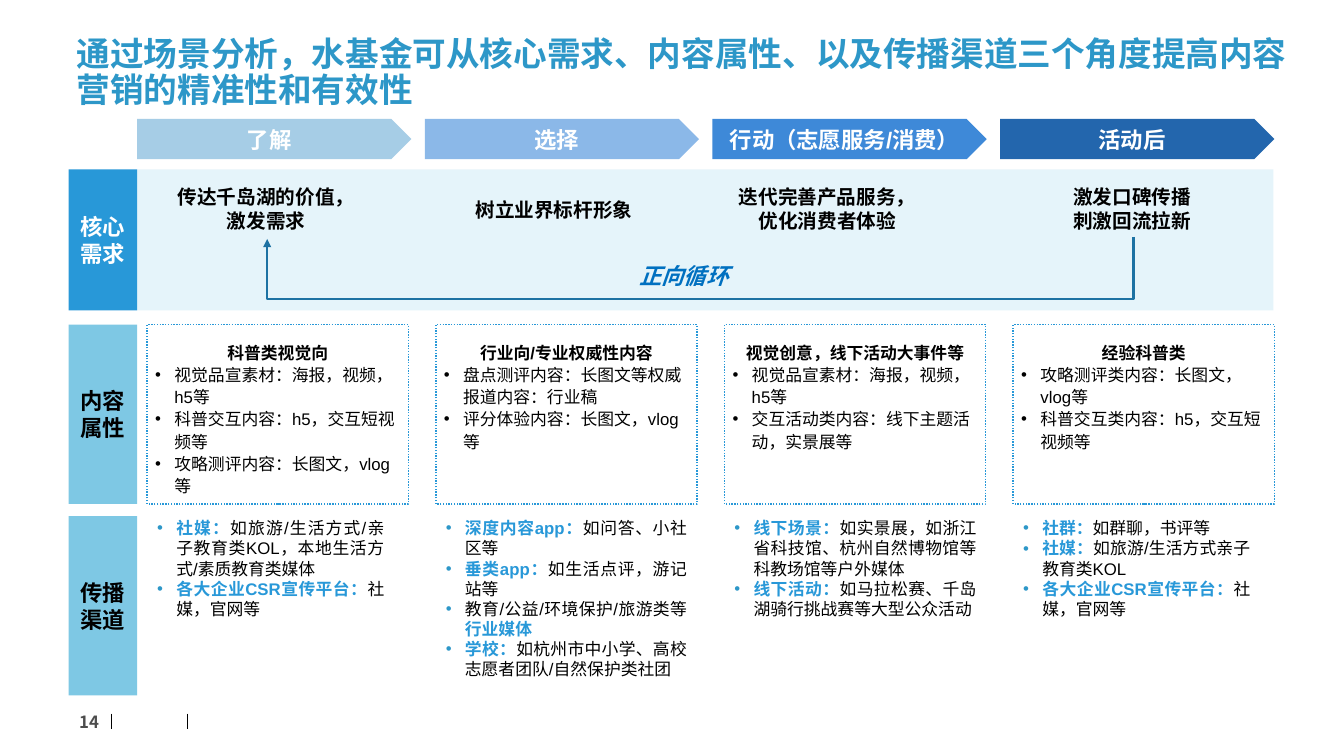
"""Build the slide on content marketing needs, content attributes and channels."""
from lxml import etree
from pptx import Presentation
from pptx.dml.color import RGBColor
from pptx.enum.dml import MSO_LINE
from pptx.enum.shapes import MSO_CONNECTOR, MSO_SHAPE
from pptx.enum.text import MSO_ANCHOR, MSO_AUTO_SIZE, PP_ALIGN
from pptx.oxml.ns import qn
from pptx.util import Inches, Pt

WHITE = RGBColor(0xFF, 0xFF, 0xFF)
BLACK = RGBColor(0x00, 0x00, 0x00)
GREY = RGBColor(0x4D, 0x4D, 0x4D)
TITLE_BLUE = RGBColor(0x2D, 0x97, 0xC8)
ACCENT = RGBColor(0x28, 0x98, 0xD8)
LABEL_BLUE = RGBColor(0x7E, 0xC8, 0xE4)
PALE_BLUE = RGBColor(0xE5, 0xF4, 0xFA)
ARROW_BLUE = RGBColor(0x1D, 0x72, 0xA3)
CYCLE_BLUE = RGBColor(0x00, 0x70, 0xC0)
STAGE_1 = RGBColor(0xA6, 0xCD, 0xE6)
STAGE_2 = RGBColor(0x8B, 0xB8, 0xE8)
STAGE_3 = RGBColor(0x3E, 0x89, 0xD8)
STAGE_4 = RGBColor(0x23, 0x66, 0xAD)
LEFT, CENTER, RIGHT, JUSTIFY = PP_ALIGN.LEFT, PP_ALIGN.CENTER, PP_ALIGN.RIGHT, PP_ALIGN.JUSTIFY
MIDDLE, TOP = MSO_ANCHOR.MIDDLE, MSO_ANCHOR.TOP
RECTANGLE, PENTAGON = MSO_SHAPE.RECTANGLE, MSO_SHAPE.PENTAGON
CJK_FONT = "Noto Sans CJK SC"


def add_block(geometry, left, top, width, height, fill=None):
    block = slide.shapes.add_shape(geometry, Inches(left), Inches(top), Inches(width), Inches(height))
    block.shadow.inherit = False
    block.line.fill.background()
    if fill is None:
        block.fill.background()
    else:
        block.fill.solid()
        block.fill.fore_color.rgb = fill
    block.text_frame.word_wrap = True
    block.text_frame.vertical_anchor = MIDDLE
    return block


def write(frame, runs, size, align, bullet=None, spacing=None, font="Arial"):
    paragraph = frame.add_paragraph() if frame.text else frame.paragraphs[0]
    paragraph.alignment = align
    if bullet is not None:
        properties = paragraph._p.get_or_add_pPr()
        properties.set("marL", str(Inches(0.19)))
        properties.set("indent", str(-Inches(0.19)))
        color = etree.SubElement(properties, qn("a:buClr"))
        etree.SubElement(color, qn("a:srgbClr")).set("val", str(bullet))
        etree.SubElement(properties, qn("a:buFont")).set("typeface", "Arial")
        etree.SubElement(properties, qn("a:buChar")).set("char", "•")
    if spacing:
        paragraph.line_spacing = spacing
    for text, text_color, bold in runs:
        run = paragraph.add_run()
        run.text = text
        run.font.name = font
        run.font.size = Pt(size)
        run.font.bold = bold
        run.font.color.rgb = text_color
        etree.SubElement(run._r.get_or_add_rPr(), qn("a:ea")).set("typeface", CJK_FONT)
    return paragraph


presentation = Presentation()
presentation.slide_width = Inches(13.33)
presentation.slide_height = Inches(7.5)
slide = presentation.slides.add_slide(presentation.slide_layouts[5])

title = slide.shapes.title
title.left, title.top, title.width, title.height = Inches(0.66), Inches(0.48), Inches(12.27), Inches(0.5)
title.text_frame.word_wrap = True
title.text_frame.auto_size = MSO_AUTO_SIZE.NONE
title.text_frame.vertical_anchor = MIDDLE
headline = "通过场景分析，水基金可从核心需求、内容属性、以及传播渠道三个角度提高内容营销的精准性和有效性"
write(title.text_frame, [(headline, TITLE_BLUE, True)], 24, LEFT, spacing=0.9, font=CJK_FONT)

add_block(RECTANGLE, 1.36, 1.68, 11.27, 1.4, PALE_BLUE)

row_labels = [
    (1.68, 1.4, ACCENT, WHITE, ["核心", "需求"]),
    (3.22, 1.78, LABEL_BLUE, BLACK, ["内容属性"]),
    (5.12, 1.78, LABEL_BLUE, BLACK, ["传播渠道"]),
]
for top, height, fill, color, lines in row_labels:
    label = add_block(RECTANGLE, 0.68, top, 0.68, height, fill)
    for line in lines:
        write(label.text_frame, [(line, color, True)], 16, CENTER)

stages = [("了解", STAGE_1), ("选择", STAGE_2), ("行动（志愿服务/消费）", STAGE_3), ("活动后", STAGE_4)]
for column, (name, fill) in enumerate(stages):
    stage = add_block(PENTAGON, 1.36 + 2.853 * column, 1.18, 2.72, 0.4, fill)
    write(stage.text_frame, [(name, WHITE, True)], 16, CENTER)

needs = [
    (1.3, 1.79, 2.68, ["传达千岛湖的价值，", "激发需求"]),
    (4.6, 1.91, 1.79, ["树立业界标杆形象"]),
    (7, 1.79, 2.41, ["迭代完善产品服务，", "优化消费者体验"]),
    (10.03, 1.79, 2.4, ["激发口碑传播", "刺激回流拉新"]),
]
for left, top, width, lines in needs:
    need = slide.shapes.add_textbox(Inches(left), Inches(top), Inches(width), Inches(0.1 + 0.235 * len(lines)))
    need.text_frame.word_wrap = True
    for line in lines:
        write(need.text_frame, [(line, BLACK, True)], 14, CENTER)

contents = [
    ("科普类视觉向", ["视觉品宣素材：海报，视频，h5等", "科普交互内容：h5，交互短视频等", "攻略测评内容：长图文，vlog等"]),
    ("行业向/专业权威性内容", ["盘点测评内容：长图文等权威报道内容：行业稿", "评分体验内容：长图文，vlog等"]),
    ("视觉创意，线下活动大事件等", ["视觉品宣素材：海报，视频，h5等", "交互活动类内容：线下主题活动，实景展等"]),
    ("经验科普类", ["攻略测评类内容：长图文，vlog等", "科普交互类内容：h5，交互短视频等"]),
]
channels = [
    (2.45, [
        [("社媒：", ACCENT, True), ("如旅游/生活方式/亲子教育类KOL，本地生活方式/素质教育类媒体", BLACK, False)],
        [("各大企业CSR宣传平台：", ACCENT, True), ("社媒，官网等", BLACK, False)],
    ]),
    (2.59, [
        [("深度内容app：", ACCENT, True), ("如问答、小社区等", BLACK, False)],
        [("垂类app：", ACCENT, True), ("如生活点评，游记站等", BLACK, False)],
        [("教育/公益/环境保护/旅游类等", BLACK, False), ("行业媒体", ACCENT, True)],
        [("学校：", ACCENT, True), ("如杭州市中小学、高校志愿者团队/自然保护类社团", BLACK, False)],
    ]),
    (2.6, [
        [("线下场景：", ACCENT, True), ("如实景展，如浙江省科技馆、杭州自然博物馆等科教场馆等户外媒体", BLACK, False)],
        [("线下活动：", ACCENT, True), ("如马拉松赛、千岛湖骑行挑战赛等大型公众活动", BLACK, False)],
    ]),
    (2.45, [
        [("社群：", ACCENT, True), ("如群聊，书评等", BLACK, False)],
        [("社媒：", ACCENT, True), ("如旅游/生活方式亲子教育类KOL", BLACK, False)],
        [("各大企业CSR宣传平台：", ACCENT, True), ("社媒，官网等", BLACK, False)],
    ]),
]
for column, ((heading, points), (width, items)) in enumerate(zip(contents, channels)):
    left = 1.46 + 2.863 * column
    content = add_block(RECTANGLE, left, 3.22, 2.59, 1.78)
    content.line.color.rgb = ACCENT
    content.line.width = Pt(1)
    content.line.dash_style = MSO_LINE.ROUND_DOT
    frame = content.text_frame
    frame.vertical_anchor = TOP
    frame.margin_left = frame.margin_right = Inches(0.08)
    frame.margin_top = Inches(0.16)
    write(frame, [(heading, BLACK, True)], 12, CENTER, spacing=1.1)
    for point in points:
        write(frame, [(point, BLACK, False)], 12, LEFT, bullet=BLACK, spacing=1.1)

    channel = slide.shapes.add_textbox(Inches(left), Inches(5.09), Inches(width), Inches(1.72))
    channel.text_frame.word_wrap = True
    for runs in items:
        write(channel.text_frame, runs, 12, JUSTIFY, bullet=TITLE_BLUE)

loop = slide.shapes.add_connector(
    MSO_CONNECTOR.ELBOW, Inches(6.935), Inches(-1.935), Inches(6.955), Inches(6.655))
loop.line.color.rgb = ARROW_BLUE
loop.line.width = Pt(1.75)
etree.SubElement(loop.line._get_or_add_ln(), qn("a:tailEnd")).set("type", "triangle")
etree.SubElement(loop._element.spPr, qn("a:effectLst"))
loop._element.spPr.find(qn("a:xfrm")).set("rot", "5400000")
adjustments = loop._element.spPr.find(qn("a:prstGeom")).get_or_add_avLst()
guide = etree.SubElement(adjustments, qn("a:gd"))
guide.set("name", "adj1")
guide.set("fmla", "val 3075000")

cycle = slide.shapes.add_textbox(Inches(6.24), Inches(2.55), Inches(1.1), Inches(0.37))
cycle.text_frame.word_wrap = False
cycle.text_frame.auto_size = MSO_AUTO_SIZE.SHAPE_TO_FIT_TEXT
caption = write(cycle.text_frame, [("正向循环", CYCLE_BLUE, True)], 16, LEFT, font=CJK_FONT)
caption.runs[0].font.italic = True

page_number = slide.shapes.add_textbox(Inches(0.54), Inches(6.96), Inches(0.54), Inches(0.4))
page_number.text_frame.word_wrap = True
page_number.text_frame.vertical_anchor = MIDDLE
write(page_number.text_frame, [("14", GREY, True)], 12, RIGHT, font=CJK_FONT)

for x in (1.1, 1.86):
    divider = slide.shapes.add_connector(
        MSO_CONNECTOR.STRAIGHT, Inches(x), Inches(7.08), Inches(x), Inches(7.23))
    divider.line.color.rgb = BLACK
    divider.line.width = Pt(0.5)
    etree.SubElement(divider._element.spPr, qn("a:effectLst"))

presentation.save("out.pptx")
